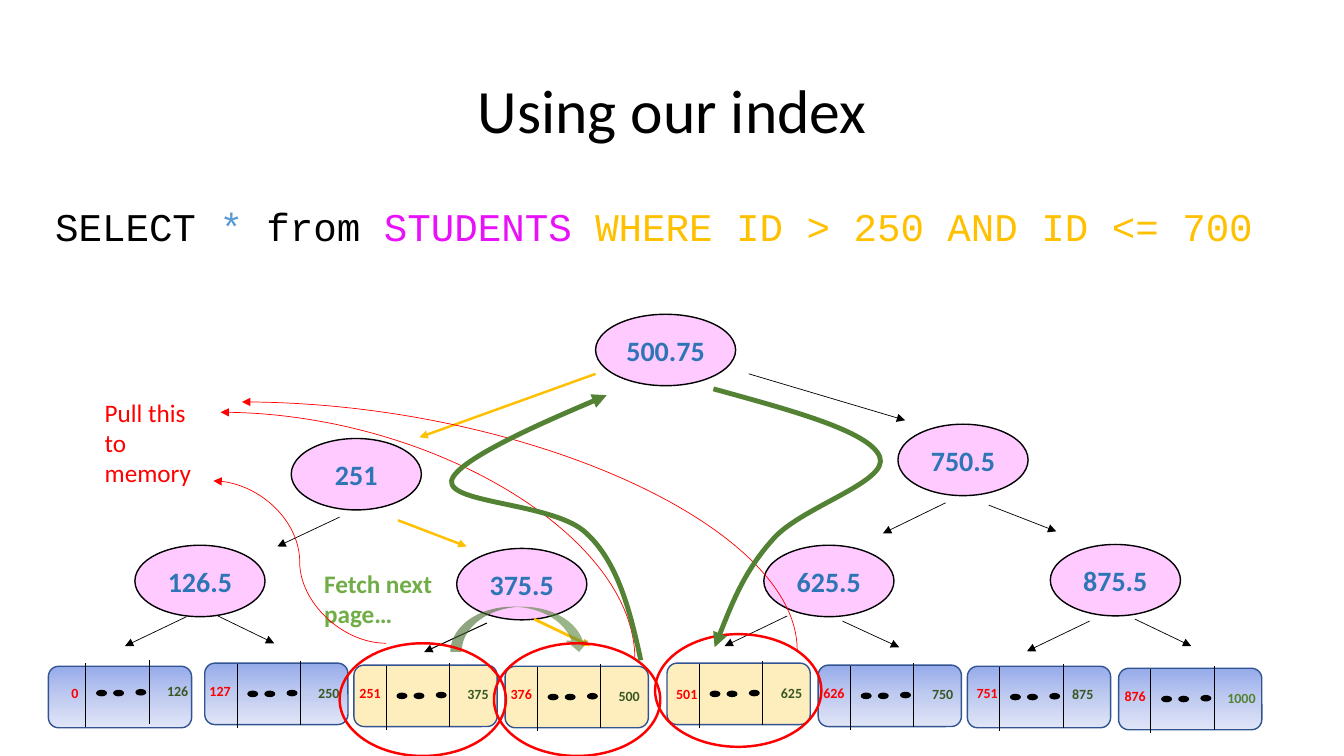
import copy

import pptx
import pptx.dml.color
import pptx.enum.shapes
import pptx.enum.text
import pptx.oxml
import pptx.oxml.ns
import pptx.util

Cm = pptx.util.Cm
Pt = pptx.util.Pt
qn = pptx.oxml.ns.qn
Preset = pptx.enum.shapes.MSO_SHAPE
Connector = pptx.enum.shapes.MSO_CONNECTOR
Align = pptx.enum.text.PP_ALIGN
Anchor = pptx.enum.text.MSO_ANCHOR

BLACK, RED, GOLD, GREEN = "000000", "FF0000", "FFC000", "548235"


def rgb(value):
    return pptx.dml.color.RGBColor.from_string(value)


def add_xml(parent, tag, **attributes):
    child = parent.makeelement(qn(tag), attributes)
    parent.append(child)
    return child


class IndexSlide:
    font = "Calibri"
    page_size = (3.61, 1.55)
    page_gradient = ("96ABEA", "C0CBF0", "E0E5F7")

    def __init__(self, deck):
        self.shapes = deck.slides.add_slide(deck.slide_layouts[6]).shapes

    def style_run(self, run, size, color, bold=False, font=None):
        run.font.name = font or self.font
        run.font.size = Pt(size)
        run.font.bold = bold
        run.font.color.rgb = rgb(color)

    def text(self, box, pieces, size, bold=False, font=None, grow=True):
        label = self.shapes.add_textbox(*map(Cm, box))
        frame = label.text_frame
        frame.word_wrap = True
        if grow:
            frame.auto_size = pptx.enum.text.MSO_AUTO_SIZE.SHAPE_TO_FIT_TEXT
        for words, color in pieces:
            run = frame.paragraphs[0].add_run()
            run.text = words
            self.style_run(run, size, color, bold, font)
        return frame

    def shape(self, preset, box, fill=None, line=None, width=1, alpha=None):
        figure = self.shapes.add_shape(preset, *map(Cm, box))
        figure.shadow.inherit = False
        if fill:
            figure.fill.solid()
            figure.fill.fore_color.rgb = rgb(fill)
        else:
            figure.fill.background()
        if alpha:
            color = next(figure.fill._xPr.iter(qn("a:srgbClr")))
            add_xml(color, "a:alpha", val=str(alpha * 1000))
        if line:
            figure.line.color.rgb = rgb(line)
            figure.line.width = Pt(width)
        else:
            figure.line.fill.background()
        return figure

    def stroke(self, figure, color, width, arrow):
        figure.line.color.rgb = rgb(color)
        figure.line.width = Pt(width)
        if arrow:
            add_xml(figure.line._get_or_add_ln(), "a:tailEnd", type="triangle")

    def line(self, ends, color=BLACK, width=0.5, arrow=True, kind=Connector.STRAIGHT):
        link = self.shapes.add_connector(kind, *map(Cm, ends))
        self.stroke(link, color, width, arrow)
        add_xml(link._element.spPr, "a:effectLst")
        return link

    def quarter_curve(self, x1, y1, x2, y2, color):
        mid_x, mid_y = (x1 + x2) / 2, (y1 + y2) / 2
        half_w, half_h = abs(y2 - y1) / 2, abs(x2 - x1) / 2
        ends = (mid_x - half_w, mid_y + half_h, mid_x + half_w, mid_y - half_h)
        link = self.line(ends, color, kind=Connector.CURVE)
        properties = link._element.spPr
        properties.find(qn("a:xfrm")).set("rot", str(270 * 60000))
        properties.find(qn("a:prstGeom")).set("prst", "curvedConnector2")

    def bezier(self, points, color, width):
        (start, *rest) = [(Cm(x), Cm(y)) for x, y in points]
        builder = self.shapes.build_freeform(*start)
        builder.add_line_segments(rest, close=False)
        route = builder.convert_to_shape()
        route.shadow.inherit = False
        route.fill.background()
        self.stroke(route, color, width, True)
        segments = list(route._element.iter(qn("a:lnTo")))
        outline = segments[0].getparent()
        for first in range(0, len(segments), 3):
            curve = add_xml(outline, "a:cubicBezTo")
            for segment in segments[first:first + 3]:
                curve.append(segment[0])
                outline.remove(segment)

    def node(self, key, left, top, width=3.28):
        oval = self.shape(Preset.OVAL, (left, top, width, 1.8), "FECAFF", BLACK)
        frame = oval.text_frame
        frame.margin_left = frame.margin_right = 0
        frame.vertical_anchor = Anchor.MIDDLE
        frame.text = key
        frame.paragraphs[0].alignment = Align.CENTER
        self.style_run(frame.paragraphs[0].runs[0], 20, "2E75B6", True)

    def page(self, corner, low, low_at, high, high_at, high_color="385723",
             matched=False, nudge=(0, 0)):
        box = (*corner, *self.page_size)
        body = self.shape(Preset.ROUNDED_RECTANGLE, box, "FFD966", "325491",
                          alpha=43 if matched else None)
        if not matched:
            body.fill.gradient()
            body.fill.gradient_angle = 270
            stops = next(body._element.iter(qn("a:gsLst")))
            stops.insert(1, copy.deepcopy(stops[0]))
            for place, stop in enumerate(body.fill.gradient_stops):
                stop.color.rgb = rgb(self.page_gradient[place])
                stop.position = place / 2
        left, top = corner[0] + nudge[0], corner[1] + nudge[1]
        for x, y in ((0.81, 0.02), (2.41, -0.05)):
            self.line((left + x, top + y, left + x, top + y + 1.61), arrow=False)
        for x, y in ((1.09, 0.71), (1.52, 0.71), (2.08, 0.69)):
            self.shape(Preset.OVAL, (left + x, top + y, 0.24, 0.13), BLACK, BLACK)
        self.text((*low_at, 1.17, 0.69), [(low, RED)], 10, True)
        self.text((*high_at, 1.5, 0.69), [(high, high_color)], 10, True)


def main():
    deck = pptx.Presentation()
    deck.slide_width, deck.slide_height = Cm(33.87), Cm(19.05)
    slide = IndexSlide(deck)

    title = slide.text((2.34, 1.02, 29.21, 3.68), [("Using our index", BLACK)], 44, grow=False)
    title.vertical_anchor = Anchor.MIDDLE
    title.paragraphs[0].alignment = Align.CENTER
    title.paragraphs[0].line_spacing = 0.9

    query = [("SELECT ", BLACK), ("*", "5B9BD5"), (" from ", BLACK),
             ("STUDENTS ", "E911F9"), ("WHERE ID > 250 AND ID <= 700", GOLD)]
    slide.text((1.14, 4.98, 33.63, 1.45), query, 28, font="Courier New")

    slide.page((1.22, 16.79), "0", (1.55, 17.12), "126", (3.96, 17.07), nudge=(0.13, -0.1))
    slide.page((5.16, 16.71), "127", (5.03, 17.07), "250", (7.77, 17.12))
    slide.page((8.92, 16.76), "251", (8.81, 17.12), "375", (11.53, 17.15), matched=True)
    slide.page((12.73, 16.79), "376", (12.62, 17.15), "500", (15.34, 17.2), matched=True)
    slide.page((16.81, 16.71), "501", (16.79, 17.15), "625", (19.43, 17.12), matched=True)
    slide.page((20.62, 16.76), "626", (20.5, 17.12), "750", (23.24, 17.15))
    slide.page((24.38, 16.79), "751", (24.36, 17.12), "875", (26.77, 17.15))
    slide.page((28.19, 16.84), "876", (28.09, 17.2), "1000", (30.68, 17.25), GREEN)

    for key, left, top in (("126.5", 3.4, 13.74), ("375.5", 11.51, 13.82),
                           ("625.5", 19.25, 13.74), ("875.5", 26.47, 13.72),
                           ("251", 7.34, 11.05), ("750.5", 22.63, 10.69)):
        slide.node(key, left, top)
    slide.node("500.75", 15.01, 7.92, 3.53)

    for branch in ((4.7, 15.54, 3.15, 16.28), (19.84, 15.52, 18.26, 16.28),
                   (27.46, 15.65, 25.88, 16.41), (5.49, 15.52, 6.91, 16.21),
                   (21.23, 15.65, 22.66, 16.31), (28.6, 15.6, 30.02, 16.28),
                   (8.56, 13.03, 6.99, 13.77), (23.83, 12.67, 22.25, 13.44),
                   (24.92, 12.73, 26.62, 13.39), (18.87, 9.42, 22.81, 10.59)):
        slide.line(branch)
    slide.line((12.27, 15.7, 10.69, 16.43), width=0.75)
    slide.line((13.46, 15.6, 14.88, 16.28), GOLD, 2)
    for search_step in ((10.03, 13.11, 11.76, 13.77), (15.01, 9.42, 10.57, 11.02)):
        slide.line(search_step, GOLD, 1.75)

    slide.shape(Preset.CURVED_DOWN_ARROW, (11.35, 15.29, 3.53, 1.14), GREEN, alpha=59)
    slide.text((7.92, 14.2, 3.61, 1.8), [("Fetch next page…", "70AD47")], 18, True)
    slide.text((2.39, 9.88, 2.95, 2.57), [("Pull this to memory", RED)], 18)

    for left, top in ((8.56, 16.21), (12.45, 16.21), (16.51, 15.98)):
        slide.shape(Preset.OVAL, (left, top, 4.19, 2.84), line=RED, width=1.75)
    slide.line((9.73, 16.21, 5.38, 12.12), RED, kind=Connector.CURVE)
    slide.quarter_curve(16, 16.61, 5.56, 10.39, RED)
    slide.quarter_curve(20.09, 16.38, 6.1, 10.13, RED)

    back_to_root = [(16.15, 16.64), (15.88, 15.39), (15.57, 14.17), (14.78, 13.44),
                    (14, 12.67), (11.3, 12.7), (11.38, 12.12),
                    (11.48, 11.56), (15.2, 10), (15.29, 9.96)]
    down_to_page = [(17.98, 9.8), (19.94, 10.34), (21.92, 10.87), (22.17, 11.51),
                    (22.43, 12.14), (20.17, 12.78), (19.48, 13.59),
                    (18.77, 14.38), (18.39, 15.34), (18.01, 16.31)]
    for route in (back_to_root, down_to_page):
        slide.bezier(route, GREEN, 3.5)

    deck.save("out.pptx")


if __name__ == "__main__":
    main()
